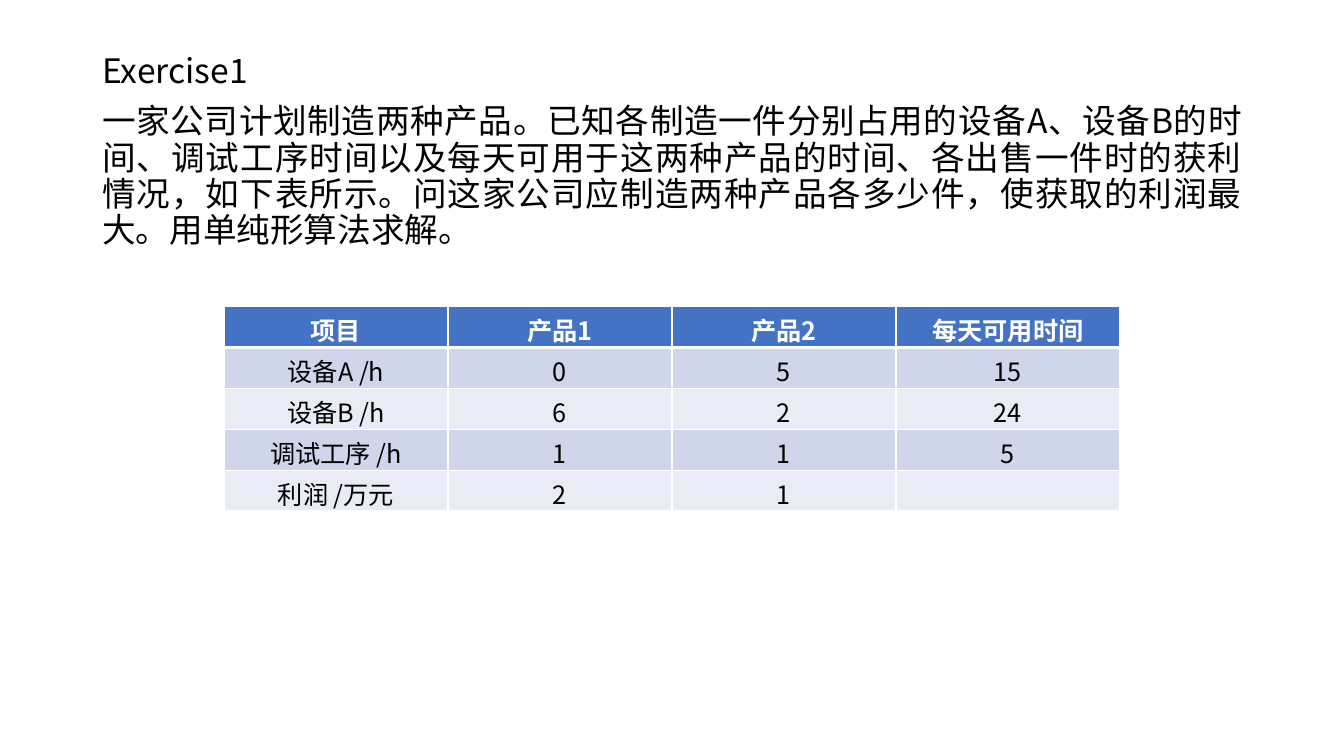
from lxml import etree
from pptx import Presentation
from pptx.dml.color import RGBColor
from pptx.enum.text import MSO_ANCHOR, PP_ALIGN
from pptx.oxml.ns import qn
from pptx.util import Pt

CENTER, JUSTIFY = PP_ALIGN.CENTER, PP_ALIGN.JUSTIFY
TOP = MSO_ANCHOR.TOP
FONT = "Noto Sans CJK SC"
COLORS = {
    "text": "000000",
    "header": "4472C4",
    "odd_row": "CFD5EA",
    "even_row": "E9EBF5",
    "white": "FFFFFF",
}
EXERCISE = [
    "Exercise1",
    "一家公司计划制造两种产品。已知各制造一件分别占用的设备A、设备B的时间、调试工序时间以及每天可用于这两种产品的时间、各出售一件时的获利情况，如下表所示。问这家公司应制造两种产品各多少件，使获取的利润最大。用单纯形算法求解。",
]
PRODUCTION_DATA = [
    ["项目", "产品1", "产品2", "每天可用时间"],
    ["设备A /h", "0", "5", "15"],
    ["设备B /h", "6", "2", "24"],
    ["调试工序 /h", "1", "1", "5"],
    ["利润 /万元", "2", "1", ""],
]


def style_paragraph(paragraph, size, color, alignment, bold=False):
    """Set alignment and both Latin and East Asian fonts of a paragraph."""
    paragraph.alignment = alignment
    font = paragraph.font
    font.name = FONT
    font.size = Pt(size)
    font.bold = bold
    font.color.rgb = RGBColor.from_string(COLORS[color])
    latin = paragraph._p.pPr.find(qn("a:defRPr")).find(qn("a:latin"))
    east_asian = etree.Element(qn("a:ea"), typeface=FONT)
    latin.addnext(east_asian)


def add_exercise_text(slide, left, top, width, height):
    """Add the justified exercise heading and description."""
    frame = slide.shapes.add_textbox(Pt(left), Pt(top), Pt(width), Pt(height)).text_frame
    frame.word_wrap = True
    frame.vertical_anchor = TOP
    for index, text in enumerate(EXERCISE):
        paragraph = frame.add_paragraph() if index else frame.paragraphs[0]
        paragraph.text = text
        paragraph.line_spacing = 0.9
        if index:
            paragraph.space_before = Pt(10)
        style_paragraph(paragraph, 24, "text", JUSTIFY)


def set_borders(cell, top_width, bottom_width):
    """Draw white borders around a cell."""
    properties = cell._tc.get_or_add_tcPr()
    widths = {"lnL": 1, "lnR": 1, "lnT": top_width, "lnB": bottom_width}
    for index, (side, width) in enumerate(widths.items()):
        line = etree.Element(qn(f"a:{side}"), w=str(Pt(width)))
        fill = etree.SubElement(line, qn("a:solidFill"))
        etree.SubElement(fill, qn("a:srgbClr"), val=COLORS["white"])
        properties.insert(index, line)


def add_production_table(slide, left, top, width, height):
    """Add the table of machine times and profits."""
    table = slide.shapes.add_table(
        len(PRODUCTION_DATA), len(PRODUCTION_DATA[0]), Pt(left), Pt(top), Pt(width), Pt(height)
    ).table
    for row, values in enumerate(PRODUCTION_DATA):
        is_header = row == 0
        fill = "header" if is_header else "odd_row" if row % 2 else "even_row"
        for column, value in enumerate(values):
            cell = table.cell(row, column)
            cell.text = value
            cell.fill.solid()
            cell.fill.fore_color.rgb = RGBColor.from_string(COLORS[fill])
            set_borders(cell, 3 if row == 1 else 1, 3 if is_header else 1)
            style_paragraph(
                cell.text_frame.paragraphs[0], 18, "white" if is_header else "text", CENTER, is_header
            )


def main():
    """Build the exercise slide and save it."""
    presentation = Presentation()
    presentation.slide_width, presentation.slide_height = Pt(960), Pt(540)
    slide = presentation.slides.add_slide(presentation.slide_layouts[6])
    add_exercise_text(slide, 66, 35.5, 828, 451.5)
    add_production_table(slide, 160, 219, 640, 146)
    presentation.save("out.pptx")


if __name__ == "__main__":
    main()
